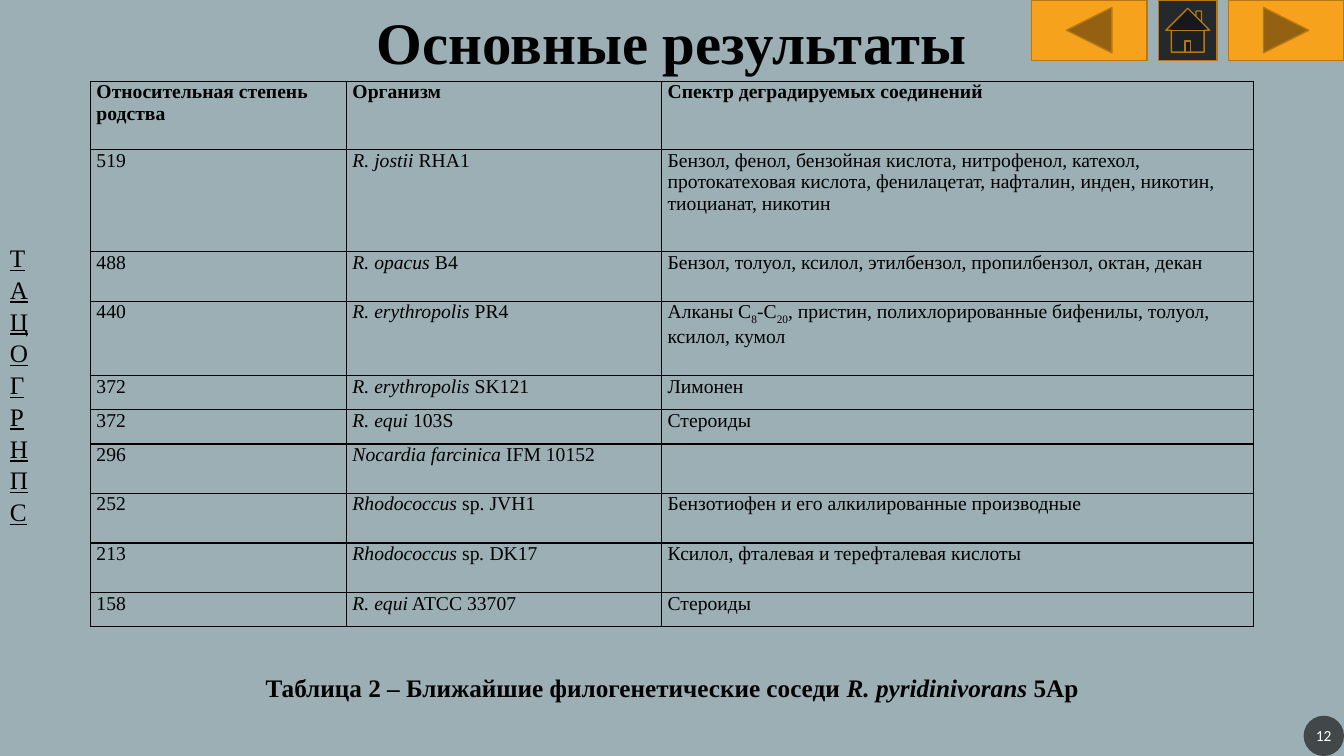
import dataclasses

import lxml.etree
import pptx
import pptx.dml.color
import pptx.enum.shapes
import pptx.enum.text
import pptx.oxml
import pptx.oxml.ns
import pptx.util

SHAPE = pptx.enum.shapes.MSO_SHAPE
ALIGN = pptx.enum.text.PP_ALIGN
ANCHOR = pptx.enum.text.MSO_ANCHOR
qn = pptx.oxml.ns.qn


@dataclasses.dataclass(frozen=True)
class Theme:
    background: str = "9BAFB5"
    ink: str = "000000"
    button: str = "F6A21D"
    home: str = "25292B"
    button_line: str = "B67815"
    badge: str = "1D1D1D"
    badge_text: str = "FFFFFF"
    serif: str = "Times New Roman"
    sans: str = "Calibri"
    title: int = 42
    body: int = 18
    table: int = 14
    number: int = 11


def rgb(value):
    return pptx.dml.color.RGBColor.from_string(value)


class Deck:
    """Draws styled elements on one slide, with lengths in percent of its width and height."""

    def __init__(self, prs, theme):
        self.prs, self.theme = prs, theme
        self.slide = prs.slides.add_slide(prs.slide_layouts[5])
        fill = self.slide.background.fill
        fill.solid()
        fill.fore_color.rgb = rgb(theme.background)

    def x(self, share):
        return round(self.prs.slide_width * share / 100)

    def y(self, share):
        return round(self.prs.slide_height * share / 100)

    def box(self, left, top, width, height):
        return self.x(left), self.y(top), self.x(width), self.y(height)

    def add_runs(self, p, text, size, color=None, font=None, bold=False, underline=False):
        for i, style_part in enumerate(text.split("_")):
            for j, part in enumerate(style_part.split("~")):
                if not part:
                    continue
                r = p.add_run()
                r.text = part
                r.font.size = pptx.util.Pt(size)
                r.font.name = font or self.theme.serif
                r.font.color.rgb = rgb(color or self.theme.ink)
                r.font.bold, r.font.italic = bold, i % 2 == 1
                r.font.underline = underline
                if j % 2:
                    r.font._element.set("baseline", "-25000")

    def title(self, text, *box):
        sp = self.slide.shapes.title
        sp.left, sp.top, sp.width, sp.height = self.box(*box)
        tf = sp.text_frame
        tf.word_wrap, tf.auto_size = False, pptx.enum.text.MSO_AUTO_SIZE.NONE
        tf.paragraphs[0].alignment = ALIGN.CENTER
        self.add_runs(tf.paragraphs[0], text, self.theme.title, bold=True)

    def text(self, lines, *box, align=ALIGN.LEFT, spacing=1.0, **style):
        tf = self.slide.shapes.add_textbox(*self.box(*box)).text_frame
        tf.word_wrap = False
        for i, line in enumerate(lines):
            p = tf.add_paragraph() if i else tf.paragraphs[0]
            p.alignment, p.line_spacing = align, spacing
            self.add_runs(p, line, self.theme.body, **style)

    def shape(self, kind, fill, line, *box):
        sp = self.slide.shapes.add_shape(kind, *self.box(*box))
        sp.shadow.inherit = False
        sp.fill.solid()
        sp.fill.fore_color.rgb = rgb(fill)
        if line:
            sp.line.color.rgb = rgb(line)
            sp.line.width = pptx.util.Pt(1)
        else:
            sp.line.fill.background()
        return sp

    def badge(self, text, *box):
        sp = self.shape(SHAPE.OVAL, self.theme.badge, None, *box)
        color = sp._element.spPr.find(qn("a:solidFill"))[0]
        lxml.etree.SubElement(color, qn("a:alpha"), val="70000")
        tf = sp.text_frame
        tf.margin_left = tf.margin_right = pptx.util.Inches(0.02)
        tf.vertical_anchor = ANCHOR.MIDDLE
        p = tf.paragraphs[0]
        p.alignment = ALIGN.CENTER
        self.add_runs(p, text, self.theme.number, self.theme.badge_text, self.theme.sans)

    def borders(self, cell):
        tc_pr = cell._tc.get_or_add_tcPr()
        for side in "LRTB":
            ln = lxml.etree.SubElement(tc_pr, qn(f"a:ln{side}"), w=str(pptx.util.Pt(1)))
            solid = lxml.etree.SubElement(ln, qn("a:solidFill"))
            lxml.etree.SubElement(solid, qn("a:srgbClr"), val=self.theme.ink)

    def table(self, rows, left, top, widths, heights):
        box = self.box(left, top, sum(widths), sum(heights))
        table = self.slide.shapes.add_table(len(rows), len(widths), *box).table
        table.first_row = table.horz_banding = False
        for column, width in zip(table.columns, widths):
            column.width = self.x(width)
        for i, (row, height) in enumerate(zip(rows, heights)):
            table.rows[i].height = self.y(height)
            for j, text in enumerate(row):
                cell = table.cell(i, j)
                cell.margin_left = cell.margin_right = pptx.util.Inches(0.06)
                cell.margin_top = cell.margin_bottom = 0
                self.borders(cell)
                cell.fill.background()
                self.add_runs(cell.text_frame.paragraphs[0], text, self.theme.table, bold=i == 0)


NEIGHBOURS = [
    ("Относительная степень родства", "Организм", "Спектр деградируемых соединений"),
    ("519", "_R. jostii_ RHA1",
     "Бензол, фенол, бензойная кислота, нитрофенол, катехол, протокатеховая кислота, "
     "фенилацетат, нафталин, инден, никотин, тиоцианат, никотин"),
    ("488", "_R. opacus_ B4", "Бензол, толуол, ксилол, этилбензол, пропилбензол, октан, декан"),
    ("440", "_R. erythropolis_ PR4",
     "Алканы С~8~-С~20~, пристин, полихлорированные бифенилы, толуол, ксилол, кумол"),
    ("372", "_R. erythropolis_ SK121", "Лимонен"),
    ("372", "_R. equi_ 103S", "Стероиды"),
    ("296", "_Nocardia farcinica_ IFM 10152", ""),
    ("252", "_Rhodococcus _sp. JVH1", "Бензотиофен и его алкилированные производные"),
    ("213", "_Rhodococcus _sp_._ DK17", "Ксилол, фталевая и терефталевая кислоты"),
    ("158", "_R. equi_ ATCC 33707", "Стероиды"),
]
SHORT, MEDIUM = 4.52, 6.56
ROW_HEIGHTS = [9.05, 13.5, MEDIUM, 9.83, SHORT, SHORT, MEDIUM, MEDIUM, MEDIUM, SHORT]
BUTTON_GAP, BUTTON_HEIGHT = 0.85, 8

prs = pptx.Presentation()
prs.slide_width, prs.slide_height = pptx.util.Inches(13.33), pptx.util.Inches(7.5)
theme = Theme()
deck = Deck(prs, theme)

deck.title("Основные результаты", 27.1, 0, 45.75, 10.8)
deck.text(["Таблица 2 – Ближайшие филогенетические соседи _R. pyridinivorans _5Ap"],
          18.7, 88.27, 62.6, 5.33, align=ALIGN.CENTER, bold=True)
deck.table(NEIGHBOURS, 6.73, 10.75, [19.05, 23.45, 44.05], ROW_HEIGHTS)

left = 76.75
for kind, fill, width in [
    (SHAPE.ACTION_BUTTON_BACK_OR_PREVIOUS, theme.button, 8.6),
    (SHAPE.ACTION_BUTTON_HOME, theme.home, 4.35),
    (SHAPE.ACTION_BUTTON_FORWARD_OR_NEXT, theme.button, 8.6),
]:
    deck.shape(kind, fill, theme.button_line, left, 0, width, BUTTON_HEIGHT)
    left += width + BUTTON_GAP

deck.text("ТАЦОГРНПС", 0, 31.2, 2.93, 37.73, spacing=1.05, underline=True)
deck.badge("12", 97, 94.67, 3, 5.33)

prs.save("out.pptx")
